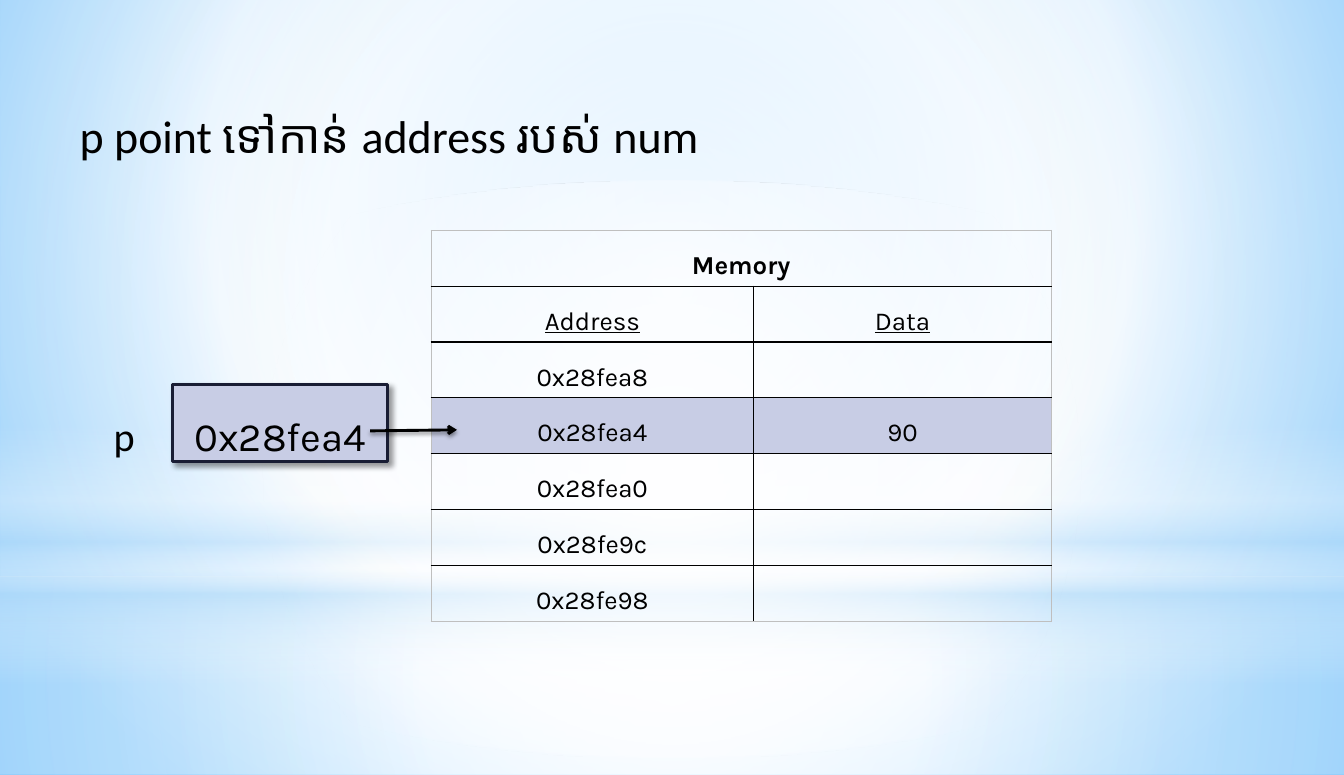
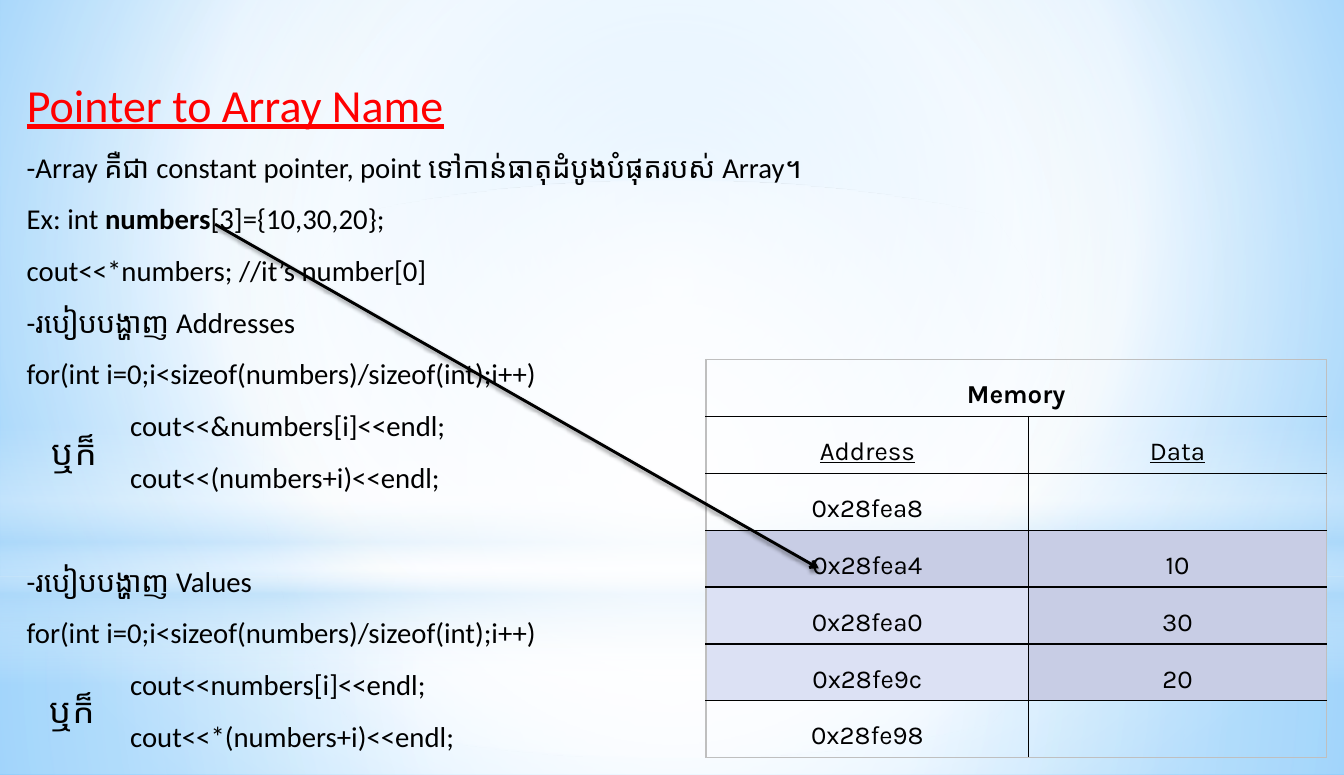
from lxml import etree
from pptx import Presentation
from pptx import util as u
from pptx.dml.color import RGBColor
from pptx.enum import shapes, text
from pptx.oxml import parse_xml
from pptx.oxml.ns import nsdecls, qn

COLOURS = {
    "ink": "000000", "red": "FF0000", "white": "FFFFFF",
    "sky": "9ED5FF", "deep sky": "5BB9FF", "pale sky": "B4DCFA",
    "lilac": "C8CDE5", "pale lilac": "DCE1F4", "navy": "191D34", "edge": "BFBFBF",
}
BODY_FONT, MEMORY_FONT = "Calibri", "Karla"
LINE_SPACING = 1.5

# Gradient stops are (position %, colour, opacity %).
CENTRE = (50, 50, 50, 50)
BACKDROP = ([(0, "sky", 100), (60, "white", 100), (100, "deep sky", 100)], (20, 10, 20, 60))
BANDS = [  # box, outline, stops, centre of the glow (None runs top to bottom)
    ((0, 5.58, 13, 1.92), "RECTANGLE",
     [(0, "white", 91), (37, "white", 76), (100, "pale sky", 79)], CENTRE),
    ((0, 0, 13, 5.58), "RECTANGLE",
     [(0, "white", 89), (48, "white", 62), (100, "pale sky", 79)], CENTRE),
    ((0, 4.12, 13, 2.5), "RECTANGLE",
     [(0, "white", 0), (29, "white", 30), (45, "pale sky", 40), (55, "white", 26),
      (65, "pale sky", 60), (100, "white", 0)], None),
    ((0, 1.75, 13, 5.58), "OVAL", [(0, "white", 100), (56, "white", 0)], CENTRE),
]

ADDRESSES = ["0x28fea8", "0x28fea4", "0x28fea0", "0x28fe9c", "0x28fe98"]
COLUMN_WIDTHS, ROW_HEIGHT = (3.12, 2.88), 0.51

# Stored data: address -> (value, colour of the address cell)
NUM_DATA = {"0x28fea4": ("90", "lilac")}
ARRAY_DATA = {
    "0x28fea4": ("10", "lilac"),
    "0x28fea0": ("30", "pale lilac"),
    "0x28fe9c": ("20", "pale lilac"),
}

LOOP = "for(int i=0;i<sizeof(numbers)/sizeof(int);i++)"
ARRAY_NOTES = [  # runs as (words, bold), indent in inches, gap above in points
    ([("-Array គឺជា constant pointer, point ទៅកាន់ធាតុដំបូងបំផុតរបស់ Array។", False)], 0, 0),
    ([("Ex: int ", False), ("numbers", True), ("[3]={10,30,20};", False)], 0, 0),
    ([("cout<<*numbers; //it’s number[0]", False)], 0, 0),
    ([("-របៀបបង្ហាញ Addresses", False)], 0, 0),
    ([(LOOP, False)], 0, 0),
    ([("cout<<&numbers[i]<<endl;", False)], 1, 0),
    ([("cout<<(numbers+i)<<endl;", False)], 1, 0),
    ([("-របៀបបង្ហាញ Values", False)], 0, 36.6),
    ([(LOOP, False)], 0, 0),
    ([("cout<<numbers[i]<<endl;", False)], 1, 0),
    ([("cout<<*(numbers+i)<<endl;", False)], 1, 0),
]
OR_WORD = "ឬក៏"
OR_PLACES = [(0.02, 3.92), (0, 6.42)]


def rgb(name):
    """Look up a colour of the palette."""
    return RGBColor.from_string(COLOURS[name])


def inches(box):
    """Turn plain numbers into lengths."""
    return [u.Inches(n) for n in box]


def add_run(paragraph, words, size, font=BODY_FONT, colour="ink", bold=False, underline=False):
    """Add one formatted run."""
    run = paragraph.add_run()
    run.text = words
    run.font.name, run.font.size = font, u.Pt(size)
    run.font.bold, run.font.underline = bold, underline
    run.font.color.rgb = rgb(colour)


def set_paragraph(paragraph, align="LEFT"):
    """Give a paragraph the shared line spacing and an alignment."""
    paragraph.line_spacing = LINE_SPACING
    paragraph.alignment = getattr(text.PP_ALIGN, align)
    return paragraph


def paint_gradient(element, stops, centre):
    """Swap the first solid fill inside an element for a gradient."""
    marks = "".join(
        f'<a:gs pos="{pos * 1000}"><a:srgbClr val="{COLOURS[colour]}">'
        f'<a:alpha val="{opacity * 1000}"/></a:srgbClr></a:gs>'
        for pos, colour, opacity in stops)
    if centre:
        sides = " ".join(f'{side}="{n * 1000}"' for side, n in zip("ltrb", centre))
        course = f'<a:path path="circle"><a:fillToRect {sides}/></a:path>'
    else:
        course = '<a:lin ang="5400000" scaled="0"/>'
    solid = element.find(".//" + qn("a:solidFill"))
    solid.getparent().replace(solid, parse_xml(
        f'<a:gradFill {nsdecls("a")} rotWithShape="1"><a:gsLst>{marks}</a:gsLst>'
        f'{course}</a:gradFill>'))


def add_shadow(effects, opacity, blur, distance, angle):
    """Put a black outer shadow into an effect list."""
    shadow = etree.SubElement(
        effects, qn("a:outerShdw"), blurRad=str(u.Pt(blur)), dist=str(u.Pt(distance)),
        dir=str(angle * 60000), algn="ctr", rotWithShape="0")
    black = etree.SubElement(shadow, qn("a:srgbClr"), val=COLOURS["ink"])
    etree.SubElement(black, qn("a:alpha"), val=str(opacity * 1000))


def dress_master(master, slide):
    """Draw the sky bands on a slide, then move them to the master."""
    master.background.fill.solid()
    paint_gradient(master.element.find(".//" + qn("p:bg")), *BACKDROP)
    for place, (box, outline, stops, centre) in enumerate(BANDS, start=2):
        band = slide.shapes.add_shape(getattr(shapes.MSO_SHAPE, outline), *inches(box))
        band.shadow.inherit = False
        band.line.fill.background()
        band.fill.solid()
        paint_gradient(band.element, stops, centre)
        master.shapes.element.insert(place, band.element)


def set_title(slide, words, box, **style):
    """Place and fill the title."""
    title = slide.shapes.title
    title.left, title.top, title.width, title.height = inches(box)
    frame = title.text_frame
    frame.word_wrap, frame.auto_size = True, text.MSO_AUTO_SIZE.NONE
    frame.vertical_anchor = text.MSO_ANCHOR.TOP
    add_run(set_paragraph(frame.paragraphs[0]), words, 32, **style)


def add_label(slide, words, box, size, align):
    """Add a one-line text box."""
    frame = slide.shapes.add_textbox(*inches(box)).text_frame
    frame.word_wrap = True
    add_run(set_paragraph(frame.paragraphs[0], align), words, size)


def add_notes(slide, notes, box):
    """Add the explanation and its code lines."""
    frame = slide.shapes.add_textbox(*inches(box)).text_frame
    frame.word_wrap = True
    for number, (runs, indent, gap) in enumerate(notes):
        line = set_paragraph(frame.add_paragraph() if number else frame.paragraphs[0])
        line.space_before = u.Pt(gap)
        if indent:
            line._p.get_or_add_pPr().set("marL", str(u.Inches(indent)))
        for words, bold in runs:
            add_run(line, words, 20, bold=bold)


def set_borders(cell, outer_sides):
    """Rule a cell in black, with a grey edge on the outer sides."""
    properties = cell._tc.get_or_add_tcPr()
    for place, side in enumerate("LRTB"):
        colour = COLOURS["edge" if side in outer_sides else "ink"]
        properties.insert(place, parse_xml(
            f'<a:ln{side} {nsdecls("a")} w="{u.Pt(1)}"><a:solidFill>'
            f'<a:srgbClr val="{colour}"/></a:solidFill></a:ln{side}>'))


def add_memory(slide, left, top, data):
    """Add the memory table with the stored values marked."""
    rows = [("Memory", ""), ("Address", "Data")]
    rows += [(address, data.get(address, ("",))[0]) for address in ADDRESSES]
    memory = slide.shapes.add_table(len(rows), 2, *inches(
        (left, top, sum(COLUMN_WIDTHS), ROW_HEIGHT * len(rows)))).table
    memory.first_row = memory.horz_banding = False
    for column, width in zip(memory.columns, COLUMN_WIDTHS):
        column.width = u.Inches(width)
    for r, row in enumerate(rows):
        memory.rows[r].height = u.Inches(ROW_HEIGHT)
        for c, words in enumerate(row):
            cell = memory.cell(r, c)
            if row[0] in data:
                cell.fill.solid()
                cell.fill.fore_color.rgb = rgb("lilac" if c else data[row[0]][1])
            else:
                cell.fill.background()
            outer = "LR" if r == 0 else "LR"[c]
            outer += "T" * (r == 0) + "B" * (r == len(rows) - 1)
            set_borders(cell, outer)
            paragraph = set_paragraph(cell.text_frame.paragraphs[0], "CENTER")
            if words:
                add_run(paragraph, words, 18, MEMORY_FONT, bold=r == 0, underline=r == 1)
    memory.cell(0, 0).merge(memory.cell(0, 1))


def add_pointer_box(slide, words, box):
    """Add the box that holds the pointer's value."""
    pointer = slide.shapes.add_shape(shapes.MSO_SHAPE.RECTANGLE, *inches(box))
    pointer.fill.solid()
    pointer.fill.fore_color.rgb = rgb("lilac")
    pointer.line.color.rgb, pointer.line.width = rgb("navy"), u.Pt(2.25)
    pointer.shadow.inherit = False
    add_shadow(pointer.element.spPr.find(qn("a:effectLst")), 40, 4, 3, 45)
    frame = pointer.text_frame
    frame.word_wrap, frame.auto_size = True, text.MSO_AUTO_SIZE.SHAPE_TO_FIT_TEXT
    add_run(set_paragraph(frame.paragraphs[0], "CENTER"), words, 28, MEMORY_FONT)


def add_arrow(slide, start, end):
    """Add an arrow from the pointer to its address."""
    arrow = slide.shapes.add_connector(shapes.MSO_CONNECTOR.STRAIGHT, *inches(start + end))
    arrow.line.color.rgb, arrow.line.width = rgb("ink"), u.Pt(2)
    etree.SubElement(arrow.line._get_or_add_ln(), qn("a:tailEnd"), type="arrow")
    effects = etree.SubElement(arrow.element.spPr, qn("a:effectLst"))
    add_shadow(effects, 45, 3.1, 1.8, 90)


def build_num_slide(slide):
    """Show p pointing to the address of num."""
    set_title(slide, "p point ទៅកាន់ address របស់ num", (0.67, 0.72, 10.75, 0.91))
    add_memory(slide, 4.17, 2.23, NUM_DATA)
    add_pointer_box(slide, "0x28fea4", (1.67, 3.72, 2.08, 0.75))
    add_label(slide, "p", (1, 3.7, 0.51, 0.81), 28, "LEFT")
    add_arrow(slide, (3.58, 4.17), (4.42, 4.16))


def build_array_slide(slide):
    """Show an array name pointing to its first item."""
    set_title(slide, "Pointer to Array Name", (0.16, 0.42, 11.75, 0.91),
              colour="red", underline=True)
    add_notes(slide, ARRAY_NOTES, (0.16, 1.23, 11.75, 6.16))
    add_memory(slide, 6.83, 3.48, ARRAY_DATA)
    add_arrow(slide, (2.08, 2.17), (7.92, 5.5))
    for left, top in OR_PLACES:
        add_label(slide, OR_WORD, (left, top, 1.39, 0.66), 24, "CENTER")


deck = Presentation()
deck.slide_width, deck.slide_height = inches((13, 7.5))
title_only = deck.slide_layouts.get_by_name("Title Only")
num_slide, array_slide = [deck.slides.add_slide(title_only) for _ in range(2)]
dress_master(deck.slide_master, num_slide)
build_num_slide(num_slide)
build_array_slide(array_slide)
deck.save("out.pptx")
